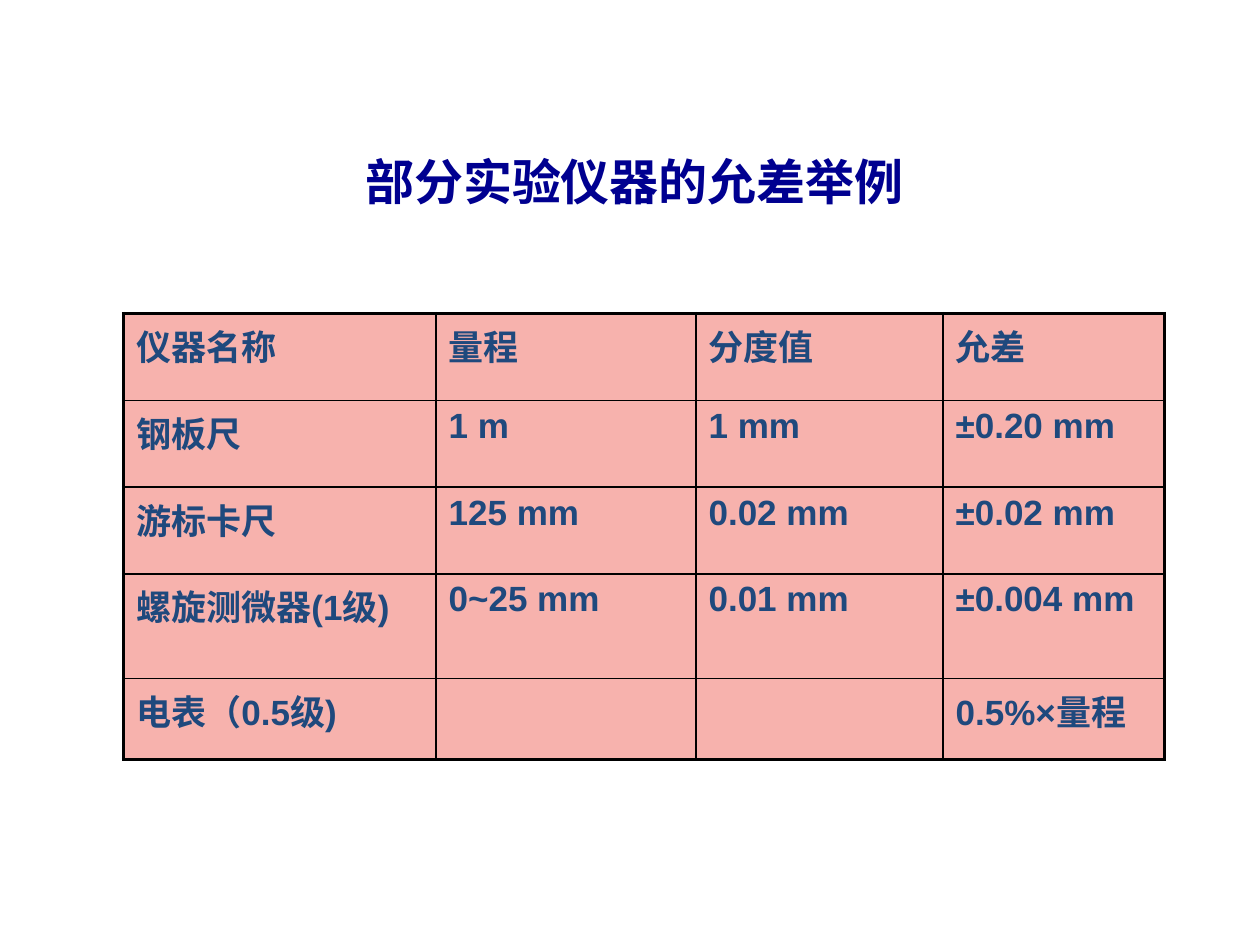
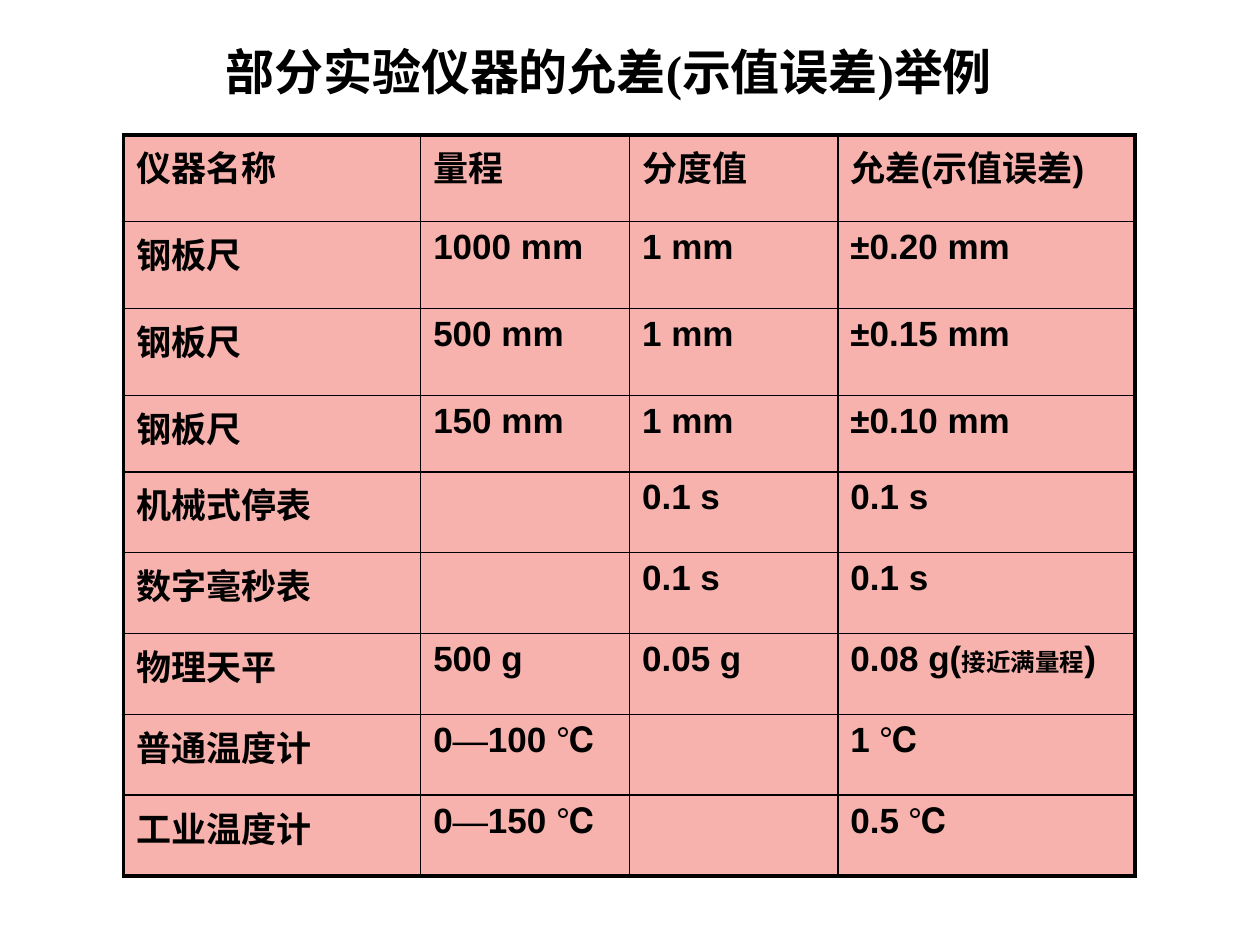
from dataclasses import dataclass
from lxml.etree import SubElement
from pptx import Presentation
from pptx.dml.color import RGBColor
from pptx.enum.text import MSO_ANCHOR, MSO_AUTO_SIZE, PP_ALIGN
from pptx.oxml.ns import qn
from pptx.util import Cm, Pt


@dataclass(frozen=True)
class Theme:
    navy: str = "000090"
    blue: str = "1F497D"
    black: str = "000000"
    pink: str = "F7B2AD"
    sans: str = "Arial"
    serif: str = "Times New Roman"
    head: float = 28
    body: float = 20
    small: float = 14
    thin: float = 1
    thick: float = 2.25


class Deck:
    def __init__(self, theme):
        self.theme = theme
        self.show = Presentation()
        self.show.slide_width = Cm(25.4)
        self.show.slide_height = Cm(19.05)
        self.slide = None

    def page(self):
        self.slide = self.show.slides.add_slide(self.show.slide_layouts[5])

    def style(self, run, size, face, ink):
        font = run.font
        font.size = Pt(size)
        font.name = face
        font.bold = True
        font.color.rgb = RGBColor.from_string(ink)

    def title(self, text, left, top, width, face, ink):
        box = self.slide.shapes.title
        box.left, box.top = Cm(left), Cm(top)
        box.width, box.height = Cm(width), Cm(1.45)
        frame = box.text_frame
        frame.text = text
        frame.word_wrap = True
        frame.auto_size = MSO_AUTO_SIZE.NONE
        frame.vertical_anchor = MSO_ANCHOR.TOP
        line = frame.paragraphs[0]
        line.alignment = PP_ALIGN.LEFT
        self.style(line.runs[0], self.theme.head, face, ink)

    def edge(self, cell, side, width):
        line = SubElement(cell._tc.get_or_add_tcPr(), qn(f"a:ln{side}"), w=str(Pt(width)))
        fill = SubElement(line, qn("a:solidFill"))
        SubElement(fill, qn("a:srgbClr"), val=self.theme.black)

    def label(self, cell, text, ink):
        theme = self.theme
        parts = [text] if isinstance(text, str) else text
        line = cell.text_frame.paragraphs[0]
        for part in filter(None, parts):
            words, size, face = (part, theme.body, theme.sans) if isinstance(part, str) else part
            run = line.add_run()
            run.text = words
            self.style(run, size, face, ink)

    def table(self, left, top, widths, heights, rows, ink):
        theme = self.theme
        frame = self.slide.shapes.add_table(
            len(rows), len(widths), Cm(left), Cm(top), Cm(sum(widths)), Cm(sum(heights)))
        grid = frame.table
        grid.first_row = grid.horz_banding = False
        for col, width in zip(grid.columns, widths):
            col.width = Cm(width)
        for row, height in zip(grid.rows, heights):
            row.height = Cm(height)
        for r, row in enumerate(rows):
            for c, text in enumerate(row):
                cell = grid.cell(r, c)
                outer = {"L": c == 0, "R": c == len(widths) - 1,
                         "T": r == 0, "B": r == len(rows) - 1}
                for side, bold in outer.items():
                    self.edge(cell, side, theme.thick if bold else theme.thin)
                cell.fill.solid()
                cell.fill.fore_color.rgb = RGBColor.from_string(theme.pink)
                self.label(cell, text, ink)


def main():
    theme = Theme()
    deck = Deck(theme)
    left = 2.49

    deck.page()
    deck.title("部分实验仪器的允差举例", 7.11, 2.92, 11.48, theme.sans, theme.navy)
    tools = [
        ("仪器名称", "量程", "分度值", "允差"),
        ("钢板尺", "1 m", "1 mm", "±0.20 mm"),
        ("游标卡尺", "125 mm", "0.02 mm", "±0.02 mm"),
        ("螺旋测微器(1级)", "0~25 mm", "0.01 mm", "±0.004 mm"),
        ("电表（0.5级)", "", "", "0.5%×量程"),
    ]
    deck.table(left, 6.32, [6.3, 5.24, 4.98, 4.47], [1.75] * 3 + [2.11, 1.63], tools, theme.blue)

    deck.page()
    deck.title("部分实验仪器的允差(示值误差)举例", 4.29, 0.71, 17.15, theme.serif, theme.black)
    dash = ("—", theme.body, theme.serif)
    note = ("接近满量程", theme.small, theme.sans)
    tools = [
        ("仪器名称", "量程", "分度值", "允差(示值误差)"),
        ("钢板尺", "1000 mm", "1 mm", "±0.20 mm"),
        ("钢板尺", "500 mm", "1 mm", "±0.15 mm"),
        ("钢板尺", "150 mm", "1 mm", "±0.10 mm"),
        ("机械式停表", "", "0.1 s", "0.1 s"),
        ("数字毫秒表", "", "0.1 s", "0.1 s"),
        ("物理天平", "500 g", "0.05 g", ["0.08 g(", note, ")"]),
        ("普通温度计", ["0", dash, "100 ℃"], "", "1 ℃"),
        ("工业温度计", ["0", dash, "150 ℃"], "", "0.5 ℃"),
    ]
    deck.table(left, 2.72, [5.99, 4.21, 4.2, 5.99],
               [1.75] * 3 + [1.54] + [1.63] * 5, tools, theme.black)

    deck.show.save("out.pptx")


if __name__ == "__main__":
    main()
